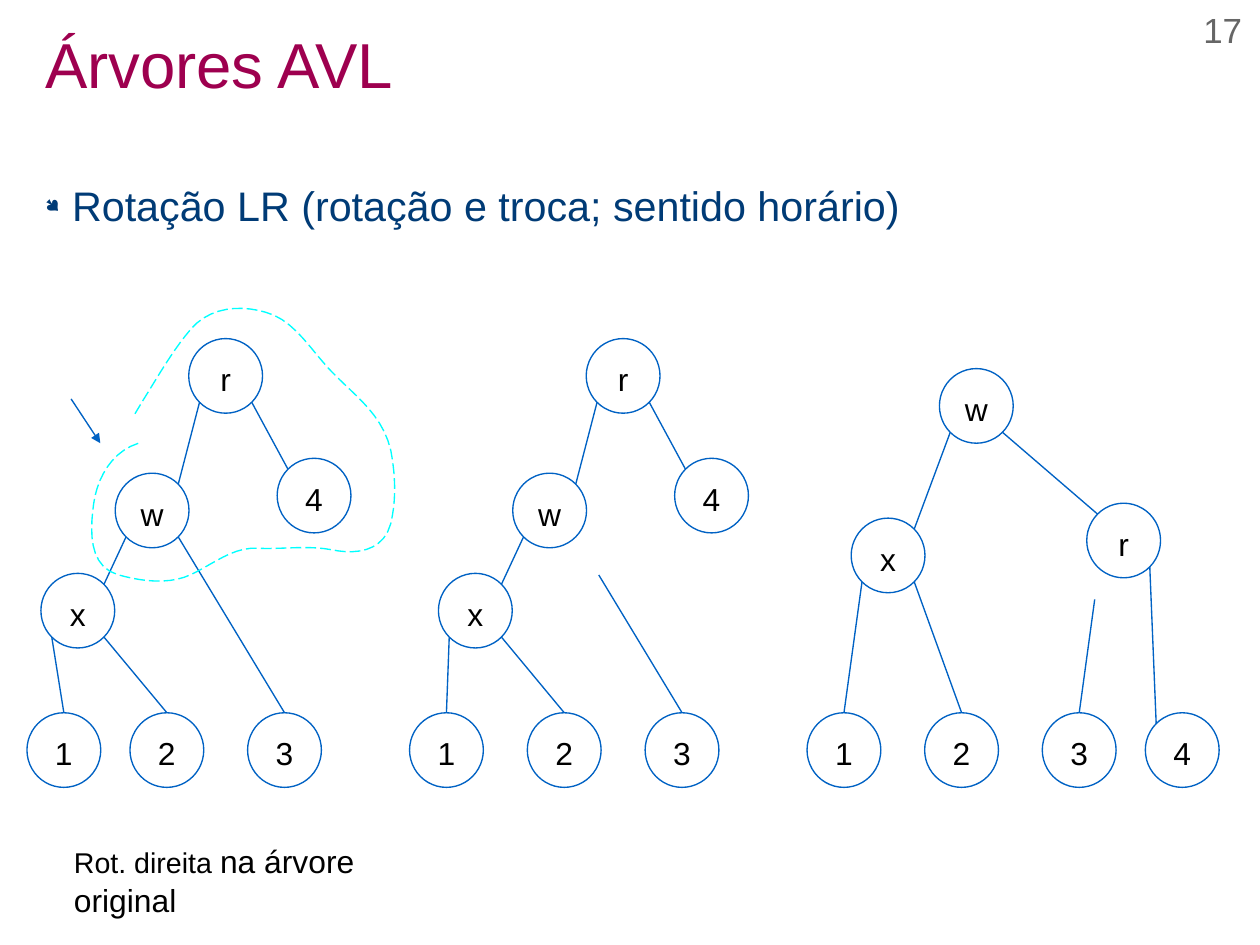
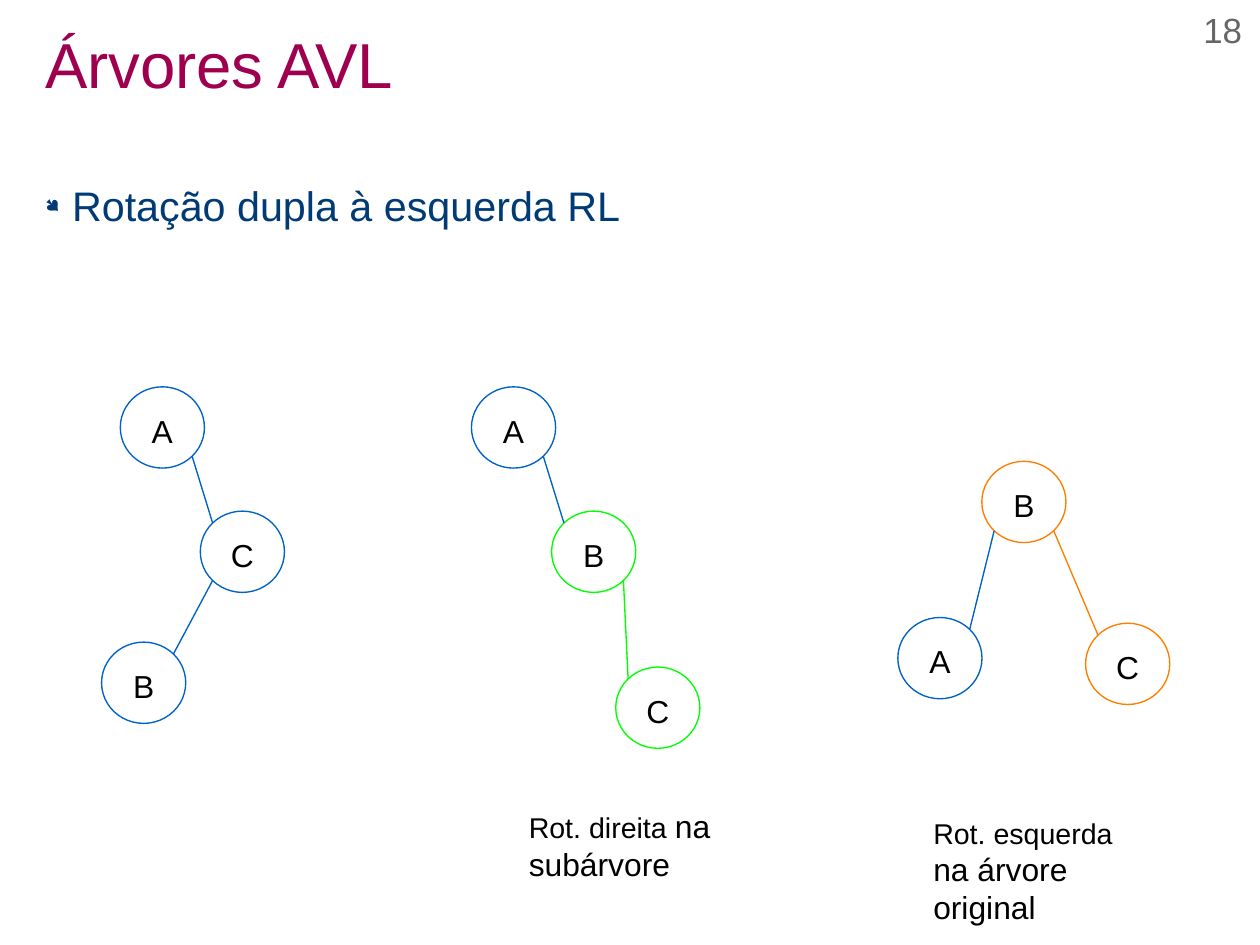
from lxml import etree
from pptx import Presentation
from pptx.dml.color import RGBColor
from pptx.enum.dml import MSO_LINE
from pptx.enum.shapes import MSO_CONNECTOR, MSO_SHAPE
from pptx.enum.text import MSO_ANCHOR, MSO_AUTO_SIZE, PP_ALIGN
from pptx.oxml.ns import qn
from pptx.util import Pt

OVAL = MSO_SHAPE.OVAL
STRAIGHT = MSO_CONNECTOR.STRAIGHT
LONG_DASH = MSO_LINE.LONG_DASH
TOP, MIDDLE = MSO_ANCHOR.TOP, MSO_ANCHOR.MIDDLE
LEFT, CENTER, RIGHT = PP_ALIGN.LEFT, PP_ALIGN.CENTER, PP_ALIGN.RIGHT
NO_AUTOFIT = MSO_AUTO_SIZE.NONE

SLIDE_SIZE = (793.7, 595.28)
FONT = "Arial"
COLORS = {
    "title": "9E004F",
    "body": "003B76",
    "text": "000000",
    "number": "666666",
    "tree": "0062C4",
    "subtree": "00FF00",
    "rotated": "FE7F00",
    "outline": "00FFFF",
}
LINE_WIDTH = 0.85
DIAGONAL = 0.5 ** 0.5
CURVE_STEPS = 10
FIRST_NUMBER = 17
TOP_JOINED = "123"  # subtrees whose edge ends at the top of the circle

LR_NODE = (46.5, 47)
LEAF_TOP = 449
LR_STEP = 250.4  # from the first tree to the second
LR_BEFORE = {
    "r": (118.9, 213.3), "w": (72.6, 298.1), "x": (25.8, 361.2), "4": (174.6, 288.7),
    "1": (17, LEAF_TOP), "2": (81.9, LEAF_TOP), "3": (156, LEAF_TOP),
}
LR_MIDDLE = {label: (x + LR_STEP, y) for label, (x, y) in LR_BEFORE.items()}
LR_MIDDLE.update({"1": (258, LEAF_TOP), "2": (332.2, LEAF_TOP)})
LR_AFTER = {
    "w": (591.8, 232.2), "r": (684.6, 317), "x": (536.2, 326.4),
    "1": (508.4, LEAF_TOP), "2": (582.5, LEAF_TOP), "3": (656.6, LEAF_TOP),
    "4": (721.5, LEAF_TOP),
}

RL_NODE = (53, 51.2)
RL_BEFORE = {"A": (75.8, 243.7), "C": (126.2, 322), "B": (64, 404.5)}
RL_MIDDLE = {"A": (297, 243.7), "B": (347.5, 322), "C": (387.9, 420.2)}
RL_AFTER = {"B": (618.5, 290.6), "A": (565.6, 389), "C": (683.9, 392.6)}

OUTLINE_START = (87.1, 279.3)
OUTLINE_CURVES = [
    ((70.6, 284.4), (61.2, 301), (59, 317.5)),
    ((56.9, 333.4), (55.4, 356.4), (74.2, 362)),
    ((89.3, 366.3), (106.6, 368.4), (120.2, 362)),
    ((133.9, 355.7), (146.9, 344.2), (162.7, 345.4)),
    ((177.8, 346.1), (193.7, 343.4), (208.8, 346.3)),
    ((222.5, 349.2), (241.2, 348.5), (246.2, 329.8)),
    ((249.8, 314.6), (249.1, 298.8), (246.2, 283.7)),
    ((241.2, 262.1), (225.4, 250.6), (211.7, 236.9)),
    ((196.6, 222.5), (186.5, 201.6), (167, 196.6)),
    ((151.9, 192.2), (132.5, 193), (120.2, 207.4)),
    ((108.7, 221), (100.1, 236.2), (90.7, 251.3)),
]
OUTLINE_END = (84.2, 262.1)


def rgb(color):
    return RGBColor.from_string(COLORS[color])


def style_run(run, size, color):
    run.font.name = FONT
    run.font.size = Pt(size)
    run.font.color.rgb = rgb(color)


def style_line(line, color):
    line.color.rgb = rgb(color)
    line.width = Pt(LINE_WIDTH)


def set_frame(frame, anchor, inset=(0, 0)):
    frame.word_wrap = True
    frame.auto_size = NO_AUTOFIT
    frame.vertical_anchor = anchor
    frame.margin_left = frame.margin_right = Pt(inset[0])
    frame.margin_top = frame.margin_bottom = Pt(inset[1])


def add_text(slide, box, parts, color, align=LEFT, inset=(0, 0)):
    """Add one paragraph made of (text, size) parts and return it."""
    frame = slide.shapes.add_textbox(*map(Pt, box)).text_frame
    set_frame(frame, TOP, inset)
    paragraph = frame.paragraphs[0]
    paragraph.alignment = align
    for text, size in parts:
        run = paragraph.add_run()
        run.text = text
        style_run(run, size, color)
    return paragraph


def add_bullet(paragraph, indent):
    properties = paragraph._p.get_or_add_pPr()
    properties.set("marL", str(Pt(indent)))
    properties.set("indent", str(-Pt(indent)))
    bullet_color = etree.SubElement(properties, qn("a:buClr"))
    etree.SubElement(bullet_color, qn("a:srgbClr"), val=COLORS["body"])
    etree.SubElement(properties, qn("a:buSzPct"), val="45000")
    etree.SubElement(properties, qn("a:buFont"), typeface="Wingdings", charset="2")
    etree.SubElement(properties, qn("a:buChar"), char="●")


def add_topic_slide(prs, topic):
    slide = prs.slides.add_slide(prs.slide_layouts[5])
    title = slide.shapes.title
    title.left, title.top, title.width, title.height = map(Pt, (28.4, 14.2, 737, 57))
    title.text_frame.text = "Árvores AVL"
    set_frame(title.text_frame, MIDDLE)
    heading = title.text_frame.paragraphs[0]
    heading.alignment = LEFT
    heading.line_spacing = 0.9
    style_run(heading.runs[0], 40, "title")

    add_bullet(add_text(slide, (28.4, 113.4, 737, 468), [(topic, 26)], "body"), 17)
    number = str(FIRST_NUMBER + len(prs.slides) - 1)
    add_text(slide, (586, 5.6, 196.4, 33), [(number, 22)], "number", RIGHT)
    return slide


def add_caption(slide, box, rotation, target):
    add_text(slide, box, [(rotation, 18), (target, 20)], "text", inset=(7.2, 3.6))


def add_node(slide, label, position, size, color):
    node = slide.shapes.add_shape(OVAL, *map(Pt, position + size))
    node.shadow.inherit = False
    node.fill.background()
    style_line(node.line, color)
    node.text_frame.text = label
    set_frame(node.text_frame, MIDDLE, (7.2, 3.6))
    paragraph = node.text_frame.paragraphs[0]
    paragraph.alignment = CENTER
    paragraph.line_spacing = 1.15
    style_run(paragraph.runs[0], 20, "text")


def add_line(slide, start, end, color="tree"):
    connector = slide.shapes.add_connector(STRAIGHT, *map(Pt, start + end))
    style_line(connector.line, color)
    etree.SubElement(connector._element.spPr, qn("a:effectLst"))
    return connector


def rim_point(position, size, across, down):
    """Point on a circle's rim; across and down run from -1 to 1 from its centre."""
    return tuple(start + length / 2 * (1 + offset)
                 for start, length, offset in zip(position, size, (across, down)))


def add_tree(slide, nodes, edges, size, colors=None):
    """Draw labelled circles and the parent-child edges, written as pairs of labels."""
    colors = colors or {}
    for label, position in nodes.items():
        add_node(slide, label, position, size, colors.get(label, "tree"))
    for parent, child in edges.split():
        side = DIAGONAL if nodes[child][0] > nodes[parent][0] else -DIAGONAL
        start = rim_point(nodes[parent], size, side, DIAGONAL)
        end_offset = (0, -1) if child in TOP_JOINED else (-side, -DIAGONAL)
        end = rim_point(nodes[child], size, *end_offset)
        shared = colors.get(parent) == colors.get(child)
        add_line(slide, start, end, colors.get(child, "tree") if shared else "tree")


def curve_points(start, first, second, end):
    """Sample a cubic Bézier curve, leaving out its start."""
    for step in range(1, CURVE_STEPS + 1):
        t = step / CURVE_STEPS
        weights = ((1 - t) ** 3, 3 * t * (1 - t) ** 2, 3 * t ** 2 * (1 - t), t ** 3)
        yield tuple(sum(w * c for w, c in zip(weights, axis))
                    for axis in zip(start, first, second, end))


def add_rotation_outline(slide):
    points = [OUTLINE_START]
    for curve in OUTLINE_CURVES:
        points.extend(curve_points(points[-1], *curve))
    points.append(OUTLINE_END)
    vertices = [(Pt(x), Pt(y)) for x, y in points]
    builder = slide.shapes.build_freeform(*vertices[0])
    builder.add_line_segments(vertices[1:], close=False)
    outline = builder.convert_to_shape()
    outline.shadow.inherit = False
    outline.fill.background()
    style_line(outline.line, "outline")
    outline.line.dash_style = LONG_DASH


def add_rotation_arrow(slide):
    arrow = add_line(slide, (44.8, 251.3), (63.2, 279.2))
    line_properties = arrow._element.spPr.get_or_add_ln()
    etree.SubElement(line_properties, qn("a:tailEnd"), type="triangle")


def build_lr_slide(prs):
    slide = add_topic_slide(prs, "Rotação LR (rotação e troca; sentido horário)")
    add_tree(slide, LR_BEFORE, "rw r4 wx w3 x1 x2", LR_NODE)
    add_rotation_arrow(slide)
    add_rotation_outline(slide)
    add_tree(slide, LR_MIDDLE, "rw r4 wx x1 x2", LR_NODE)
    add_tree(slide, LR_AFTER, "wx wr x1 x2 r4", LR_NODE)
    for nodes, loose_end in ((LR_MIDDLE, (377.2, 362.2)), (LR_AFTER, (689.6, 377.6))):
        add_line(slide, loose_end, rim_point(nodes["3"], LR_NODE, 0, -1))
    add_caption(slide, (39.5, 527, 218, 52), "Rot. direita ", "na árvore original")


def build_rl_slide(prs):
    slide = add_topic_slide(prs, "Rotação dupla à esquerda RL")
    add_tree(slide, RL_BEFORE, "AC CB", RL_NODE)
    add_tree(slide, RL_MIDDLE, "AB BC", RL_NODE, dict.fromkeys("BC", "subtree"))
    add_tree(slide, RL_AFTER, "BA BC", RL_NODE, dict.fromkeys("BC", "rotated"))
    add_caption(slide, (326, 504.4, 198.7, 52), "Rot. direita ", "na subárvore")
    add_caption(slide, (580.8, 510.2, 150.5, 72), "Rot. esquerda ", "na árvore original")


def main():
    prs = Presentation()
    prs.slide_width, prs.slide_height = map(Pt, SLIDE_SIZE)
    build_lr_slide(prs)
    build_rl_slide(prs)
    prs.save("out.pptx")


if __name__ == "__main__":
    main()
